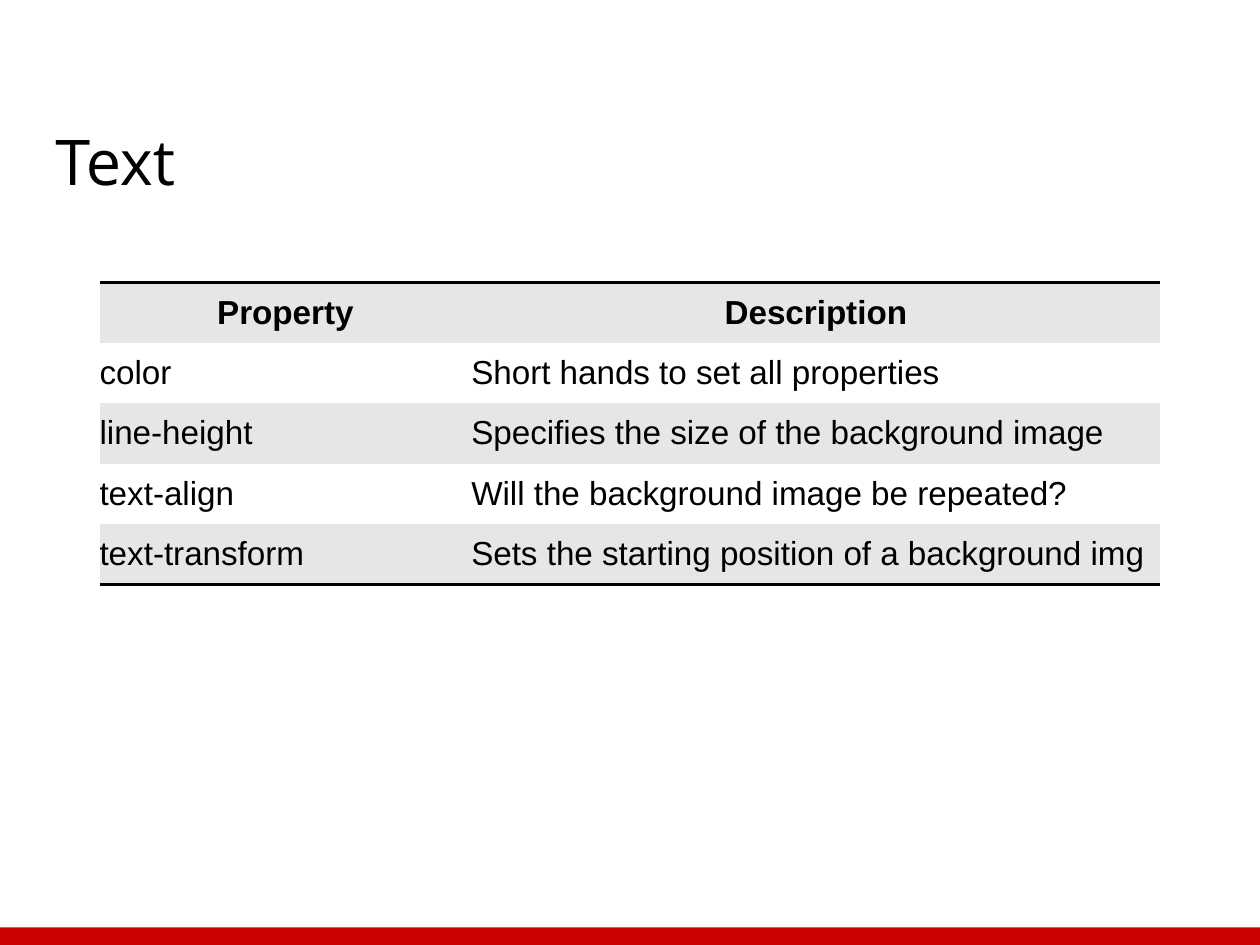
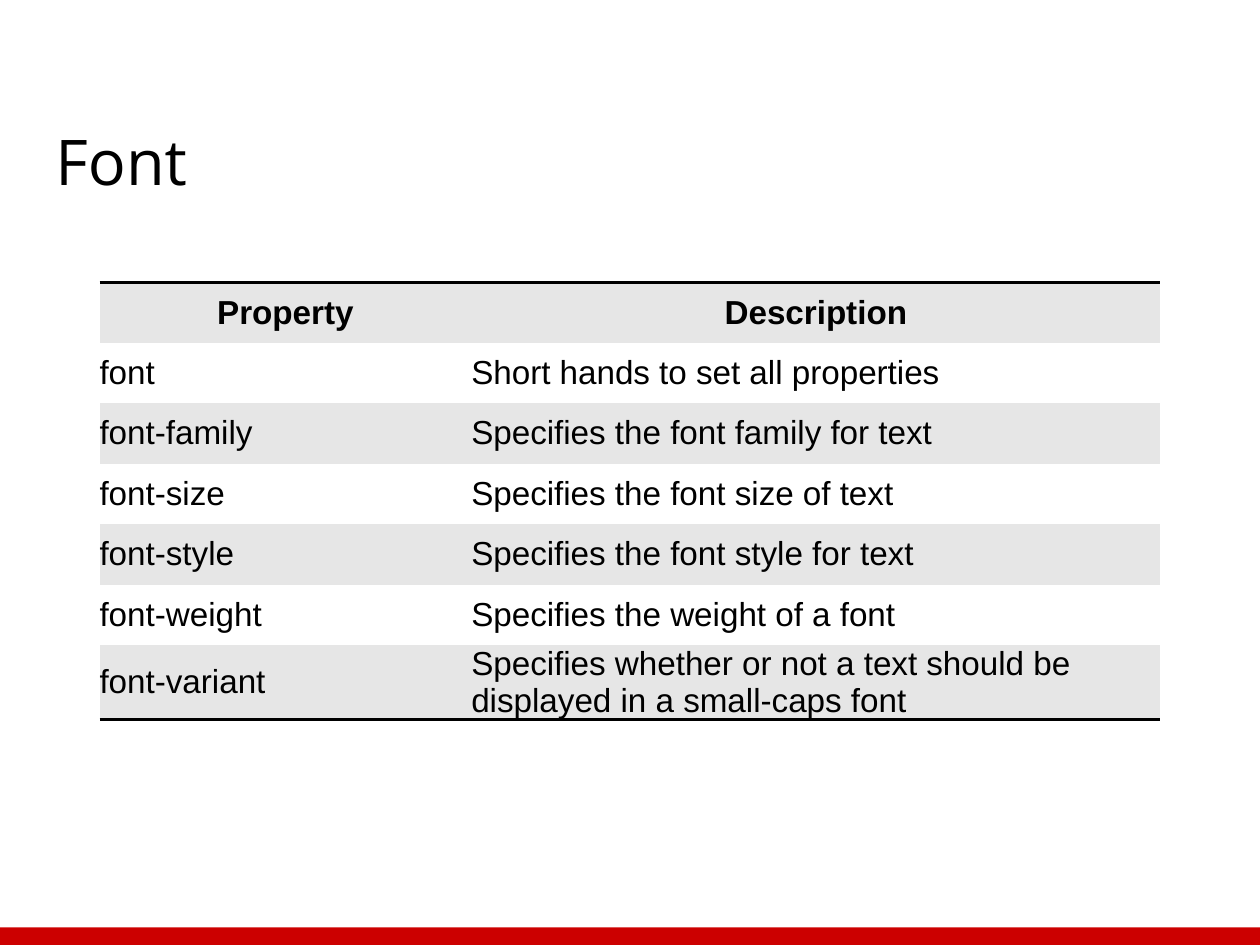
from lxml.etree import fromstring
from pptx import Presentation
from pptx.dml.color import RGBColor
from pptx.enum.shapes import MSO_SHAPE as Shape
from pptx.enum.text import MSO_ANCHOR as Anchor, PP_ALIGN as Align
from pptx.oxml.ns import nsdecls
from pptx.util import Inches, Pt

BLACK = RGBColor(0x00, 0x00, 0x00)
WHITE = RGBColor(0xFF, 0xFF, 0xFF)
GREY = RGBColor(0xE6, 0xE6, 0xE6)
RED = RGBColor(0xCC, 0x00, 0x00)

# Shared formats
HEAD = {"name": "Open Sans", "size": Pt(36), "bold": False}
CELL = {"name": "Arial", "size": Pt(19)}
INSET = ("margin_left", "margin_right", "margin_top", "margin_bottom")
PLAIN = "{2D5ABB26-0587-4C30-8999-92F81FD0307C}"  # table style without grid

# Shared boxes: left, top, width, height
WIDE, HIGH = 10, 7.5
TITLE = (0.34, 0.46, 9.32, 1.21)
BAND = (0, 7.36, WIDE, 0.14)
GRID = (0.79, 2.24)
COLS = (2.95, 5.47)
ROW = 0.48

NAMES = ("Property", "Description")
PAGES = {
    "Text": [
        ("color", "Short hands to set all properties"),
        ("line-height", "Specifies the size of the background image"),
        ("text-align", "Will the background image be repeated?"),
        ("text-transform", "Sets the starting position of a background img"),
    ],
    "Font": [
        ("font", "Short hands to set all properties"),
        ("font-family", "Specifies the font family for text"),
        ("font-size", "Specifies the font size of text"),
        ("font-style", "Specifies the font style for text"),
        ("font-weight", "Specifies the weight of a font"),
        ("font-variant", "Specifies whether or not a text should be "
                         "displayed in a small-caps font"),
    ],
}


def apply(item, form):
    for key, value in form.items():
        setattr(item, key, value)


def style(para, form, align):
    para.alignment = align
    apply(para.runs[0].font, form)
    para.runs[0].font.color.rgb = BLACK


def add_title(slide, text, box):
    title = slide.shapes.title
    apply(title, dict(zip(("left", "top", "width", "height"), map(Inches, box))))
    frame = title.text_frame
    frame.text = text
    apply(frame, dict.fromkeys(INSET, Inches(0.1)))
    apply(frame, {"vertical_anchor": Anchor.BOTTOM, "word_wrap": True})
    style(frame.paragraphs[0], HEAD, Align.LEFT)


def add_band(slide, box):
    band = slide.shapes.add_shape(Shape.RECTANGLE, *map(Inches, box))
    band.shadow.inherit = False
    band.fill.solid()
    band.fill.fore_color.rgb = RED
    band.line.fill.background()


def rule(cell, side):
    """Draw a black edge; borders come before the fill in the cell."""
    line = fromstring(
        f'<a:{side} {nsdecls("a")} w="{Pt(2)}"><a:solidFill>'
        f'<a:srgbClr val="{BLACK}"/></a:solidFill></a:{side}>')
    cell._tc.get_or_add_tcPr().insert(0, line)


def fill_cell(cell, text, head, tint):
    cell.text = text
    apply(cell, dict.fromkeys(INSET, 0))
    cell.vertical_anchor = Anchor.MIDDLE
    cell.fill.solid()
    cell.fill.fore_color.rgb = tint
    style(cell.text_frame.paragraphs[0], {**CELL, "bold": head},
          Align.CENTER if head else Align.LEFT)


def add_grid(slide, rows, spot):
    size = (sum(COLS), ROW * len(rows))
    frame = slide.shapes.add_table(len(rows), len(COLS),
                                   *map(Inches, spot + size))
    table = frame.table
    table._tbl.tblPr.find("{*}tableStyleId").text = PLAIN
    apply(table, {"first_row": False, "horz_banding": False})
    for col, width in zip(table.columns, COLS):
        col.width = Inches(width)
    for r, texts in enumerate(rows):
        table.rows[r].height = Inches(ROW)
        for c, text in enumerate(texts):
            cell = table.cell(r, c)
            fill_cell(cell, text, r == 0, WHITE if r % 2 else GREY)
            if r == 0:
                rule(cell, "lnT")
            if r == len(rows) - 1:
                rule(cell, "lnB")


def main():
    deck = Presentation()
    deck.slide_width, deck.slide_height = Inches(WIDE), Inches(HIGH)
    for name, rows in PAGES.items():
        slide = deck.slides.add_slide(deck.slide_layouts[5])
        add_band(slide, BAND)
        add_title(slide, name, TITLE)
        add_grid(slide, [NAMES, *rows], GRID)
    deck.save("out.pptx")


if __name__ == "__main__":
    main()
